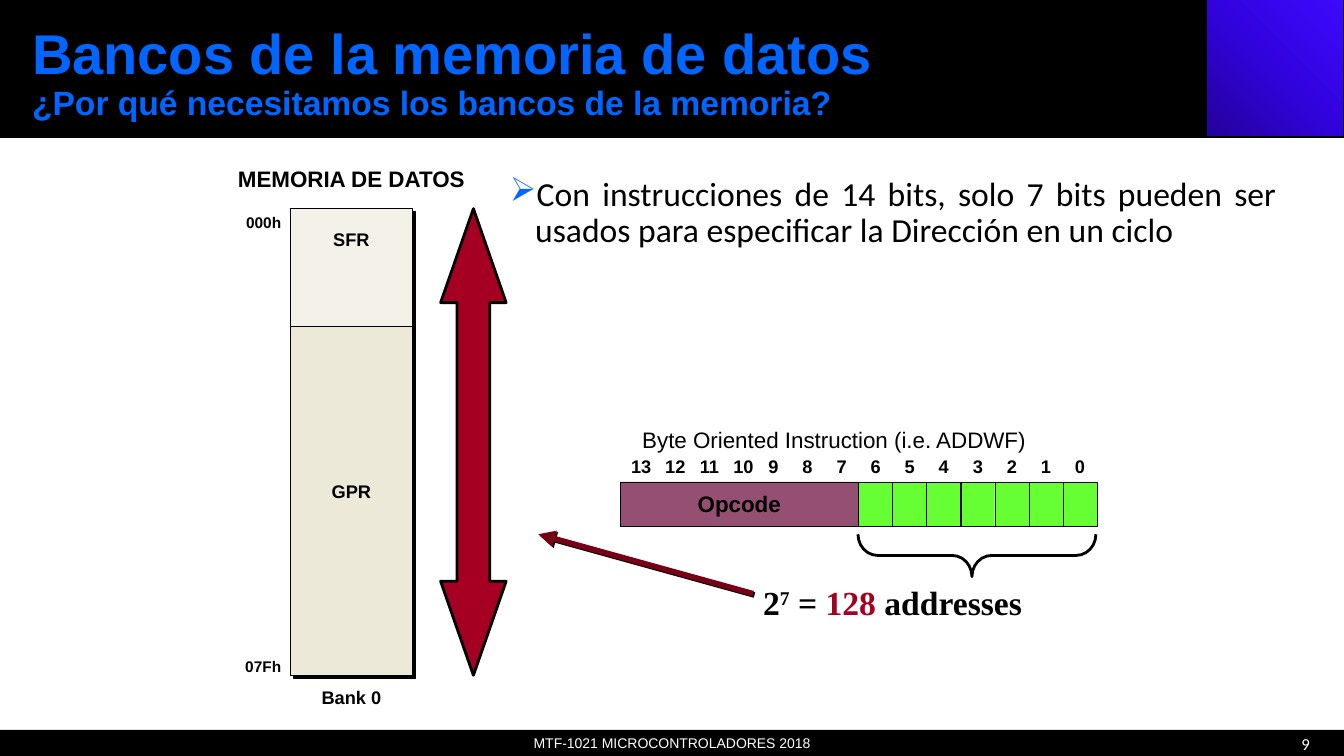
from dataclasses import dataclass

from lxml import etree
from pptx import Presentation
from pptx.dml.color import RGBColor
from pptx.enum.shapes import MSO_CONNECTOR, MSO_SHAPE
from pptx.enum.text import MSO_ANCHOR, MSO_AUTO_SIZE, PP_ALIGN
from pptx.oxml import parse_xml
from pptx.oxml.ns import nsdecls, qn
from pptx.util import Inches, Pt

RECT = MSO_SHAPE.RECTANGLE
BRACE = MSO_SHAPE.LEFT_BRACE
ARROW = MSO_SHAPE.LEFT_RIGHT_ARROW
STRAIGHT = MSO_CONNECTOR.STRAIGHT
TOP, MIDDLE = MSO_ANCHOR.TOP, MSO_ANCHOR.MIDDLE
GROW, FIXED = MSO_AUTO_SIZE.SHAPE_TO_FIT_TEXT, MSO_AUTO_SIZE.NONE
LEFT, CENTER = PP_ALIGN.LEFT, PP_ALIGN.CENTER
RIGHT, JUSTIFY = PP_ALIGN.RIGHT, PP_ALIGN.JUSTIFY

BLACK = RGBColor(0x00, 0x00, 0x00)
WHITE = RGBColor(0xFF, 0xFF, 0xFF)
BLUE = RGBColor(0x00, 0x66, 0xFF)
RED = RGBColor(0xA5, 0x00, 0x21)
MAROON = RGBColor(0x76, 0x00, 0x16)
PLUM = RGBColor(0x95, 0x4F, 0x72)
GREEN = RGBColor(0x66, 0xFF, 0x33)
CREAM = RGBColor(0xF4, 0xF2, 0xE8)
SAND = RGBColor(0xEC, 0xE9, 0xD8)

BITS = 14
BYTE_LEFT, BYTE_WIDTH = 6.15, 4.73
STEP = BYTE_WIDTH / BITS
BANK_LEFT, BANK_WIDTH = 2.88, 1.21
TIGHT = (0.09, 0.04)
LOOSE = (0.1, 0.05)


@dataclass
class Box:
    left: float
    top: float
    width: float
    height: float
    fill: RGBColor | None = None
    line: float = 0
    kind: int = RECT
    turn: float = 0
    adjust: tuple = ()
    shadow: float = 0


@dataclass
class Run:
    text: str
    size: float = 13
    bold: bool = True
    color: RGBColor = BLACK
    name: str = "Arial"
    raised: bool = False


@dataclass
class Label:
    left: float
    top: float
    width: float
    height: float
    runs: list[Run]
    align: int = CENTER
    anchor: int = TOP
    wrap: bool = True
    inset: tuple = TIGHT
    grow: bool = True


def add_shadow(shape, points: float) -> None:
    effects = etree.SubElement(shape._element.spPr, qn("a:effectLst"))
    if points:
        outer = etree.SubElement(effects, qn("a:outerShdw"), dist=str(Pt(points)),
                                 dir="2700000", algn="ctr", rotWithShape="0")
        etree.SubElement(outer, qn("a:srgbClr"), val=str(BLACK))


def draw_box(slide, box: Box):
    shape = slide.shapes.add_shape(box.kind, Inches(box.left), Inches(box.top),
                                   Inches(box.width), Inches(box.height))
    shape.rotation = box.turn
    for index, value in enumerate(box.adjust):
        shape.adjustments[index] = value
    if box.fill is None:
        shape.fill.background()
    else:
        shape.fill.solid()
        shape.fill.fore_color.rgb = box.fill
    if box.line:
        shape.line.width = Pt(box.line)
        shape.line.color.rgb = BLACK
    else:
        shape.line.fill.background()
    add_shadow(shape, box.shadow)
    return shape


def write_text(shape, label: Label):
    frame = shape.text_frame
    across, down = label.inset
    layout = {"word_wrap": label.wrap, "vertical_anchor": label.anchor,
              "auto_size": GROW if label.grow else FIXED,
              "margin_left": Inches(across), "margin_right": Inches(across),
              "margin_top": Inches(down), "margin_bottom": Inches(down)}
    for key, value in layout.items():
        setattr(frame, key, value)
    para = frame.paragraphs[0]
    para.alignment = label.align
    for index, item in enumerate(label.runs):
        if index and item.size != label.runs[index - 1].size:
            para.add_line_break()
            para._p.findall(qn("a:br"))[-1].append(
                parse_xml(f'<a:rPr {nsdecls("a")} sz="{label.runs[index - 1].size * 100}"/>'))
        run = para.add_run()
        run.text = item.text
        style = {"size": Pt(item.size), "bold": item.bold, "name": item.name}
        for key, value in style.items():
            setattr(run.font, key, value)
        run.font.color.rgb = item.color
        if item.raised:
            run._r.get_or_add_rPr().set("baseline", "30000")
    return para


def draw_label(slide, label: Label):
    shape = slide.shapes.add_textbox(Inches(label.left), Inches(label.top),
                                     Inches(label.width), Inches(label.height))
    return write_text(shape, label)


def draw_frame(slide) -> None:
    draw_box(slide, Box(0, 0, 13.33, 1.37, BLACK, 1))
    draw_box(slide, Box(0, 1.37, 13.33, 5.87, WHITE))
    footer = draw_box(slide, Box(0, 7.24, 13.33, 0.26, BLACK))
    write_text(footer, Label(0, 7.24, 13.33, 0.26,
                             [Run("MTF-1021 MICROCONTROLADORES 2018", 10, False, WHITE)],
                             anchor=MIDDLE, inset=LOOSE, grow=False))
    corner = draw_box(slide, Box(11.96, -0.01, 1.37, 1.37, BLUE, 1))
    stops = "".join(f'<a:gs pos="{place}"><a:srgbClr val="{color}"/></a:gs>' for place, color in
                    ((0, "23029B"), (50000, "3103DC"), (100000, "3E09FF")))
    props = corner._element.spPr
    props.replace(props.find(qn("a:solidFill")), parse_xml(
        f'<a:gradFill {nsdecls("a")}><a:gsLst>{stops}</a:gsLst><a:path path="circle">'
        '<a:fillToRect t="100000" r="100000"/></a:path></a:gradFill>'))
    draw_label(slide, Label(10.09, 7.18, 3, 0.4, [Run("9", 12, False, WHITE, "Calibri")],
                            RIGHT, MIDDLE, inset=LOOSE, grow=False))


def draw_words(slide) -> None:
    body = draw_label(slide, Label(4.96, 1.71, 7.8, 4.76, [
        Run("Con instrucciones de 14 bits, solo 7 bits pueden ser usados para "
            "especificar la Dirección en un ciclo", 24, False, BLACK, "Calibri")],
        JUSTIFY, inset=LOOSE, grow=False))
    body.line_spacing, body.space_before = 0.9, Pt(10)
    props = body._p.get_or_add_pPr()
    props.set("marL", str(Inches(0.25)))
    props.set("indent", str(Inches(-0.25)))
    color = etree.SubElement(props, qn("a:buClr"))
    etree.SubElement(color, qn("a:srgbClr"), val=str(BLUE))
    etree.SubElement(props, qn("a:buChar"), char="➢")
    title = draw_label(slide, Label(0.22, -0.06, 11.1, 1.6, [
        Run("Bancos de la memoria de datos", 40, color=BLUE),
        Run("¿Por qué necesitamos los bancos de la memoria?", 24, color=BLUE)],
        LEFT, MIDDLE, inset=LOOSE, grow=False))
    title.line_spacing = 0.9
    serif = "Times New Roman"
    draw_label(slide, Label(7.47, 5.72, 2.79, 0.5, [
        Run("2", 24, name=serif), Run("7", 24, name=serif, raised=True),
        Run(" = ", 24, name=serif), Run("128", 24, color=RED, name=serif),
        Run(" addresses", 24, name=serif)], LEFT, wrap=False, inset=LOOSE))


def draw_byte(slide) -> None:
    opcode = draw_box(slide, Box(BYTE_LEFT, 4.78, 7 * STEP, 0.44, PLUM, 0.25))
    write_text(opcode, Label(BYTE_LEFT, 4.78, 7 * STEP, 0.44, [Run("Opcode", 16)],
                             anchor=MIDDLE, wrap=False, grow=False))
    for bit in range(BITS):
        left = BYTE_LEFT + (BITS - 1 - bit) * STEP
        draw_label(slide, Label(left, 4.48, 0.42 if bit > 9 else 0.34, 0.31, [Run(str(bit))]))
        if bit < 7:
            draw_box(slide, Box(left, 4.78, STEP, 0.44, GREEN, 0.25))
    draw_label(slide, Label(6.28, 4.19, 4.26, 0.36, [
        Run("Byte Oriented Instruction (i.e. ADDWF)", 16, False)], LEFT, wrap=False))
    draw_box(slide, Box(9.48, 4.33, 0.42, 2.36, None, 2, BRACE, 270, (0.466, 0.479)))


def draw_bank(slide) -> None:
    draw_box(slide, Box(2.38, 4.06, 4.63, 0.65, RED, 2, ARROW, 90, (0.5, 1.435)))
    link = slide.shapes.add_connector(STRAIGHT, Inches(7.47), Inches(5.89),
                                      Inches(5.34), Inches(5.3))
    link.line.width = Pt(4)
    link.line.color.rgb = MAROON
    etree.SubElement(link.line._get_or_add_ln(), qn("a:tailEnd"), type="triangle")
    add_shadow(link, 1.4)
    for top, height, fill in ((2.07, 1.18, CREAM), (3.24, 3.46, SAND)):
        draw_box(slide, Box(BANK_LEFT, top, BANK_WIDTH, height, fill, 0.25, shadow=2.8))
    for text, top in (("SFR", 2.22), ("GPR", 4.72), ("Bank 0", 6.77)):
        draw_label(slide, Label(BANK_LEFT, top, BANK_WIDTH, 0.31, [Run(text)]))
    for text, top in (("000h", 2.07), ("07Fh", 6.48)):
        draw_label(slide, Label(2.34, top, 0.54, 0.27, [Run(text, 11)], RIGHT, wrap=False))
    draw_label(slide, Label(2.21, 1.59, 2.55, 0.37, [Run("MEMORIA DE DATOS", 16)], inset=LOOSE))


def main() -> None:
    deck = Presentation()
    deck.slide_width, deck.slide_height = Inches(13.33), Inches(7.5)
    slide = deck.slides.add_slide(deck.slide_layouts[6])
    for draw in (draw_frame, draw_words, draw_byte, draw_bank):
        draw(slide)
    deck.save("out.pptx")


if __name__ == "__main__":
    main()
